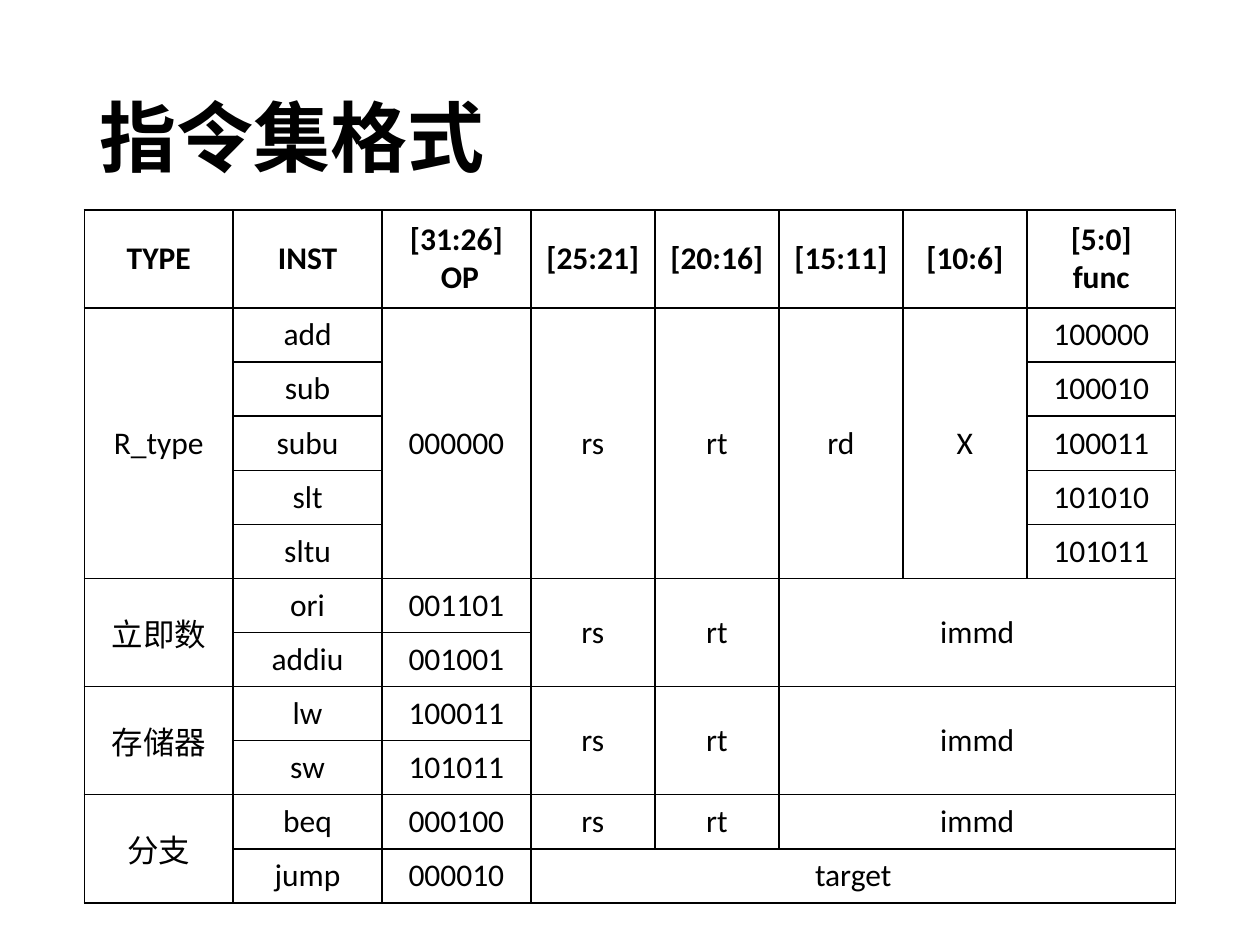
from typing import NamedTuple

import lxml.etree
import pptx
import pptx.dml.color
import pptx.enum.text
import pptx.oxml.ns
import pptx.slide
import pptx.table
import pptx.text.text
import pptx.util

Cm = pptx.util.Cm
Pt = pptx.util.Pt
BLACK = pptx.dml.color.RGBColor(0x00, 0x00, 0x00)
FONT_NAME = "Calibri"
MIDDLE = pptx.enum.text.MSO_ANCHOR.MIDDLE
CENTER = pptx.enum.text.PP_ALIGN.CENTER

COLUMN_WIDTHS = [Cm(3)] * 3 + [Cm(2.5)] * 4 + [Cm(3)]
ROW_HEIGHTS = [Cm(1.98)] + [Cm(1.09)] * 11
HEADERS = ["TYPE", "INST", "[31:26]\n OP", "[25:21]", "[20:16]", "[15:11]", "[10:6]", "[5:0]\nfunc"]


class Field(NamedTuple):
    row: int
    column: int
    text: str
    row_span: int = 1
    column_span: int = 1


def column_fields(column: int, first_row: int, texts: list[str]) -> list[Field]:
    return [Field(first_row + index, column, text) for index, text in enumerate(texts)]


def immediate_fields(row: int, row_span: int) -> list[Field]:
    return [
        Field(row, 3, "rs", row_span),
        Field(row, 4, "rt", row_span),
        Field(row, 5, "immd", row_span, 3),
    ]


FIELDS = [
    *[Field(0, column, text) for column, text in enumerate(HEADERS)],
    Field(1, 0, "R_type", 5),
    Field(6, 0, "立即数", 2),
    Field(8, 0, "存储器", 2),
    Field(10, 0, "分支", 2),
    *column_fields(1, 1, ["add", "sub", "subu", "slt", "sltu", "ori", "addiu", "lw", "sw", "beq", "jump"]),
    *[Field(1, column, text, 5) for column, text in enumerate(["000000", "rs", "rt", "rd", "X"], 2)],
    *column_fields(2, 6, ["001101", "001001", "100011", "101011", "000100", "000010"]),
    *column_fields(7, 1, ["100000", "100010", "100011", "101010", "101011"]),
    *immediate_fields(6, 2),
    *immediate_fields(8, 2),
    *immediate_fields(10, 1),
    Field(11, 3, "target", 1, 5),
]


def style_paragraph(paragraph: pptx.text.text._Paragraph, size: float, bold: bool) -> None:
    paragraph.font.name = FONT_NAME
    paragraph.font.size = Pt(size)
    paragraph.font.bold = bold
    paragraph.font.color.rgb = BLACK


def style_cell(cell: pptx.table._Cell) -> None:
    properties = cell._tc.get_or_add_tcPr()
    qualified = pptx.oxml.ns.qn
    for side in ("lnL", "lnR", "lnT", "lnB"):
        line = lxml.etree.SubElement(properties, qualified(f"a:{side}"), w=str(Pt(1)))
        fill = lxml.etree.SubElement(line, qualified("a:solidFill"))
        lxml.etree.SubElement(fill, qualified("a:srgbClr"), val=str(BLACK))
    cell.fill.background()
    cell.vertical_anchor = MIDDLE


def write_field(table: pptx.table.Table, field: Field) -> None:
    cell = table.cell(field.row, field.column)
    if field.row_span > 1 or field.column_span > 1:
        cell.merge(table.cell(field.row + field.row_span - 1, field.column + field.column_span - 1))
    cell.text = field.text
    for paragraph in cell.text_frame.paragraphs:
        paragraph.alignment = CENTER
        style_paragraph(paragraph, 18, field.row == 0)


def add_title(slide: pptx.slide.Slide, text: str) -> None:
    shape = slide.shapes.add_textbox(Cm(1.75), Cm(1.01), Cm(21.9), Cm(3.68))
    shape.text_frame.word_wrap = True
    shape.text_frame.vertical_anchor = MIDDLE
    paragraph = shape.text_frame.paragraphs[0]
    paragraph.text = text
    paragraph.line_spacing = 0.9
    style_paragraph(paragraph, 44, True)


def add_instruction_table(slide: pptx.slide.Slide) -> None:
    table = slide.shapes.add_table(
        len(ROW_HEIGHTS), len(COLUMN_WIDTHS), Cm(1.7), Cm(4.23), sum(COLUMN_WIDTHS), sum(ROW_HEIGHTS)
    ).table
    table.first_row = False
    table.horz_banding = False
    for column, width in zip(table.columns, COLUMN_WIDTHS):
        column.width = width
    for row, height in zip(table.rows, ROW_HEIGHTS):
        row.height = height
    for cell in table.iter_cells():
        style_cell(cell)
    for field in FIELDS:
        write_field(table, field)


def main() -> None:
    presentation = pptx.Presentation()
    presentation.slide_width = Cm(25.4)
    presentation.slide_height = Cm(19.05)
    slide = presentation.slides.add_slide(presentation.slide_layouts[6])
    add_title(slide, "指令集格式")
    add_instruction_table(slide)
    presentation.save("out.pptx")


if __name__ == "__main__":
    main()
